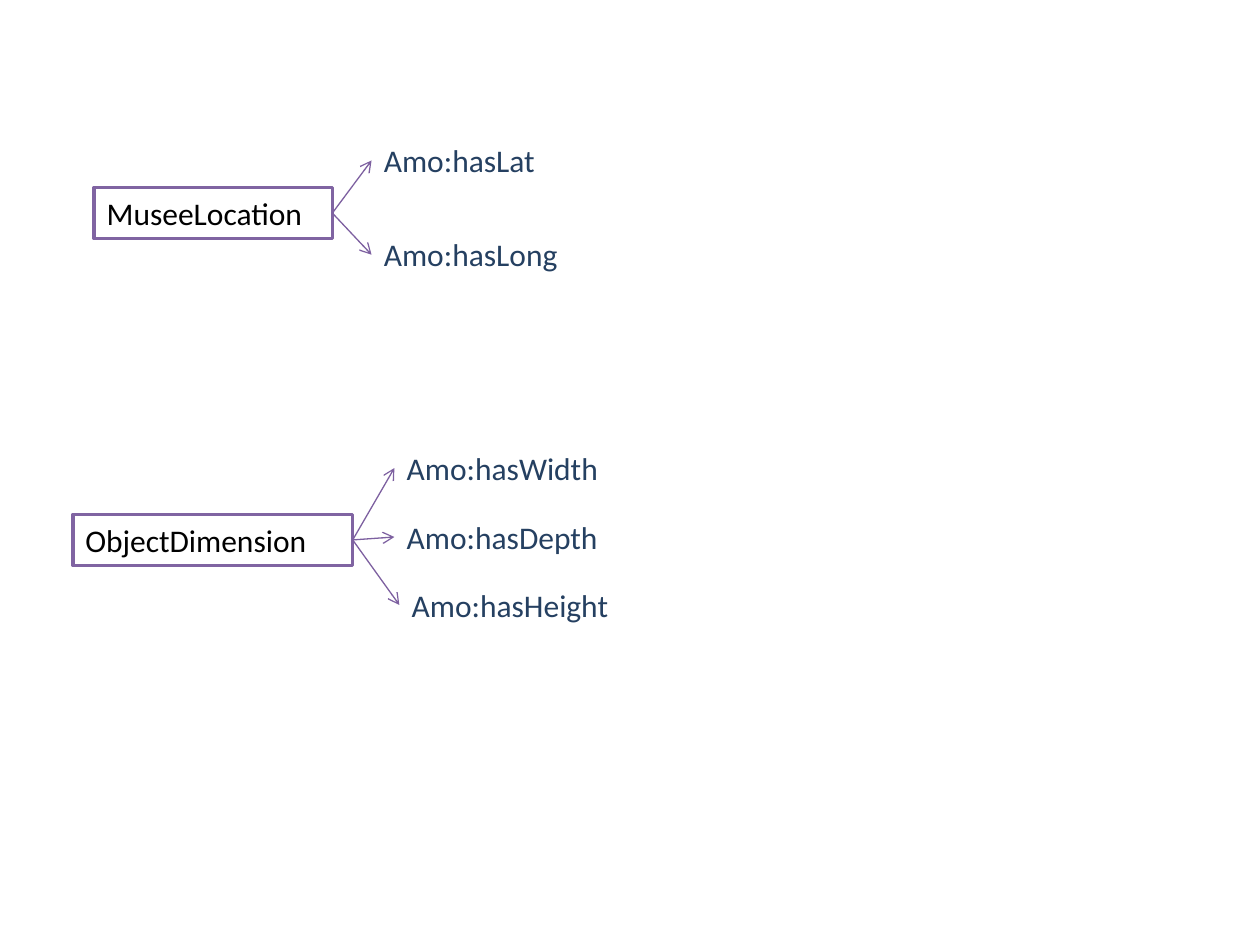
from lxml import etree
from pptx import Presentation, util as u
from pptx.dml.color import RGBColor
from pptx.enum import shapes, text
from pptx.oxml.ns import qn

ROW_HEIGHT = 1.03


def colour(value):
    """Turn a hex string into a colour."""
    return RGBColor.from_string(value)


def apply(target, values):
    """Set attributes from a dict of format values."""
    for name, value in values.items():
        setattr(target, name, value)


class Diagram:
    """Holds the style and the current slide."""

    font = {"name": "Calibri", "size": u.Pt(18)}
    frame = {"word_wrap": True, "vertical_anchor": text.MSO_ANCHOR.TOP,
             "auto_size": text.MSO_AUTO_SIZE.SHAPE_TO_FIT_TEXT}
    class_text, property_text = "000000", "254061"
    box_fill, box_line, arrow_line = "FFFFFF", "8064A2", "7D60A0"

    def __init__(self, slide):
        self.slide = slide

    def add_words(self, shape, words, ink):
        """Put one left-aligned line of text in a shape."""
        apply(shape.text_frame, self.frame)
        paragraph = shape.text_frame.paragraphs[0]
        paragraph.alignment = text.PP_ALIGN.LEFT
        run = paragraph.add_run()
        run.text = words
        apply(run.font, self.font)
        run.font.color.rgb = colour(ink)

    def stroke(self, line, ink, width):
        """Set the colour and width of a line."""
        line.color.rgb = colour(ink)
        line.width = u.Pt(width)

    def class_box(self, words, left, top, width):
        """Draw an outlined box that names a class."""
        shape = self.slide.shapes.add_shape(
            shapes.MSO_SHAPE.RECTANGLE, u.Cm(left), u.Cm(top), u.Cm(width), u.Cm(ROW_HEIGHT))
        shape.shadow.inherit = False
        shape.fill.solid()
        shape.fill.fore_color.rgb = colour(self.box_fill)
        self.stroke(shape.line, self.box_line, 2)
        self.add_words(shape, words, self.class_text)
        return shape

    def label(self, words, left, top, width):
        """Draw the name of a property."""
        shape = self.slide.shapes.add_textbox(
            u.Cm(left), u.Cm(top), u.Cm(width), u.Cm(ROW_HEIGHT))
        self.add_words(shape, words, self.property_text)
        return shape

    def arrow(self, source, target):
        """Join the right side of a source to the left side of a target."""
        connector = self.slide.shapes.add_connector(
            shapes.MSO_CONNECTOR.STRAIGHT, 0, 0, 0, 0)
        connector.begin_connect(source, 3)
        connector.end_connect(target, 1)
        self.stroke(connector.line, self.arrow_line, 0.75)
        properties = connector.element.spPr
        etree.SubElement(properties.find(qn("a:ln")), qn("a:tailEnd")).set("type", "arrow")
        etree.SubElement(properties, qn("a:effectLst"))

    def group(self, box, labels):
        """Draw a class box with an arrow to each of its properties."""
        source = self.class_box(*box)
        targets = [self.label(*entry) for entry in labels]
        for target in targets:
            self.arrow(source, target)


GROUPS = [
    (("MuseeLocation", 1.9, 3.78, 4.8),
     [("Amo:hasLat", 7.49, 2.72, 6.6),
      ("Amo:hasLong", 7.49, 4.62, 6.15)]),
    (("ObjectDimension", 1.47, 10.37, 5.64),
     [("Amo:hasWidth", 7.95, 8.92, 6.15),
      ("Amo:hasDepth", 7.95, 10.31, 7.95),
      ("Amo:hasHeight", 8.05, 11.68, 6.15)]),
]

presentation = Presentation()
apply(presentation, {"slide_width": u.Cm(25.4), "slide_height": u.Cm(19.05)})
diagram = Diagram(presentation.slides.add_slide(presentation.slide_layouts[6]))
for class_entry, property_entries in GROUPS:
    diagram.group(class_entry, property_entries)
presentation.save("out.pptx")
